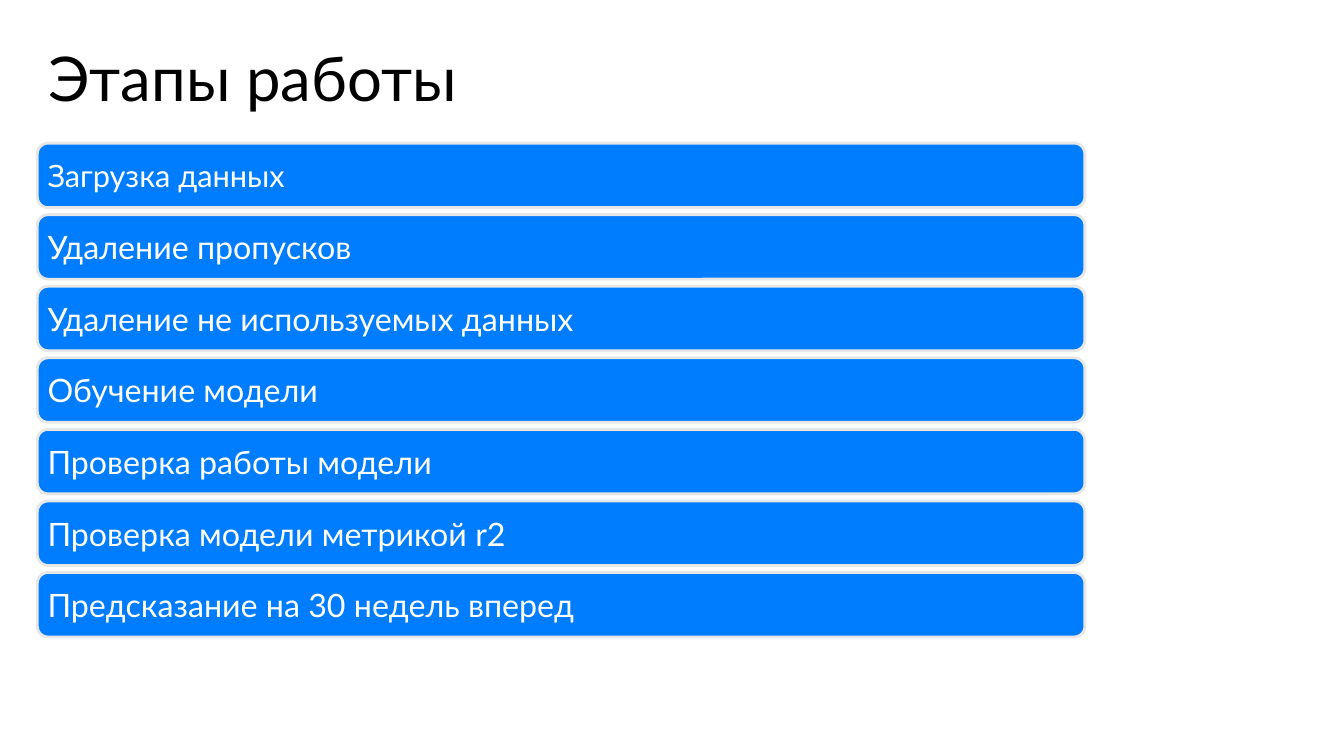
"""Builds the slide that lists the stages of the work."""
from dataclasses import dataclass

from pptx import Presentation
from pptx.dml.color import RGBColor
from pptx.enum.shapes import MSO_SHAPE
from pptx.enum.text import MSO_ANCHOR, MSO_AUTO_SIZE, PP_ALIGN
from pptx.util import Inches, Pt

ROUNDED = MSO_SHAPE.ROUNDED_RECTANGLE
TOP, MIDDLE = MSO_ANCHOR.TOP, MSO_ANCHOR.MIDDLE
LEFT = PP_ALIGN.LEFT
NO_FIT = MSO_AUTO_SIZE.NONE
TITLE_ONLY = 5

STAGES = [
    "Загрузка данных",
    "Удаление пропусков",
    "Удаление не используемых данных",
    "Обучение модели",
    "Проверка работы модели",
    "Проверка модели метрикой r2",
    "Предсказание на 30 недель вперед",
]


@dataclass(frozen=True)
class Theme:
    """Colours, font, type sizes and the grid of stage bars."""
    font: str = "Lato"
    ink: str = "000000"
    bar: str = "007DFF"
    border: str = "E7E7E7"
    bar_text: str = "FEFFFE"
    title_size: int = 44
    first_size: int = 22
    stage_size: int = 23
    border_width: int = 2
    bar_left: float = 0.37
    bar_top: float = 1.42
    bar_width: float = 10.39
    bar_height: float = 0.64
    row_step: float = 0.71
    bar_inset: float = 0.07


class StagePage:
    """Holds the theme and the current slide."""

    def __init__(self, deck, theme):
        """Adds a title slide to the deck."""
        self.theme = theme
        self.page = deck.slides.add_slide(deck.slide_layouts[TITLE_ONLY])

    def set_text(self, box, text, size, colour, anchor, inset):
        """Sets one left-aligned paragraph in a box."""
        frame = box.text_frame
        frame.text = text
        frame.word_wrap = True
        frame.auto_size = NO_FIT
        frame.vertical_anchor = anchor
        frame.margin_left = frame.margin_right = Inches(inset)
        frame.margin_top = frame.margin_bottom = Inches(inset)
        para = frame.paragraphs[0]
        para.alignment = LEFT
        font = para.runs[0].font
        font.name = self.theme.font
        font.size = Pt(size)
        font.color.rgb = RGBColor.from_string(colour)
        return para

    def title(self, text):
        """Places the title in its placeholder."""
        box = self.page.shapes.title
        box.left, box.top = Inches(0.48), Inches(0.48)
        box.width, box.height = Inches(12.36), Inches(0.71)
        para = self.set_text(box, text, self.theme.title_size, self.theme.ink, TOP, 0)
        para.line_spacing = 0.9

    def stage(self, row, text):
        """Draws the stage bar of one grid row."""
        theme = self.theme
        box = self.page.shapes.add_shape(
            ROUNDED, Inches(theme.bar_left),
            Inches(theme.bar_top + row * theme.row_step),
            Inches(theme.bar_width), Inches(theme.bar_height))
        box.shadow.inherit = False
        box.fill.solid()
        box.fill.fore_color.rgb = RGBColor.from_string(theme.bar)
        box.line.color.rgb = RGBColor.from_string(theme.border)
        box.line.width = Pt(theme.border_width)
        size = theme.stage_size if row else theme.first_size
        self.set_text(box, text, size, theme.bar_text, MIDDLE, theme.bar_inset)


def main():
    """Builds and saves the deck."""
    deck = Presentation()
    deck.slide_width, deck.slide_height = Inches(13.33), Inches(7.5)
    page = StagePage(deck, Theme())
    page.title("Этапы работы")
    for row, text in enumerate(STAGES):
        page.stage(row, text)
    deck.save("out.pptx")


if __name__ == "__main__":
    main()
